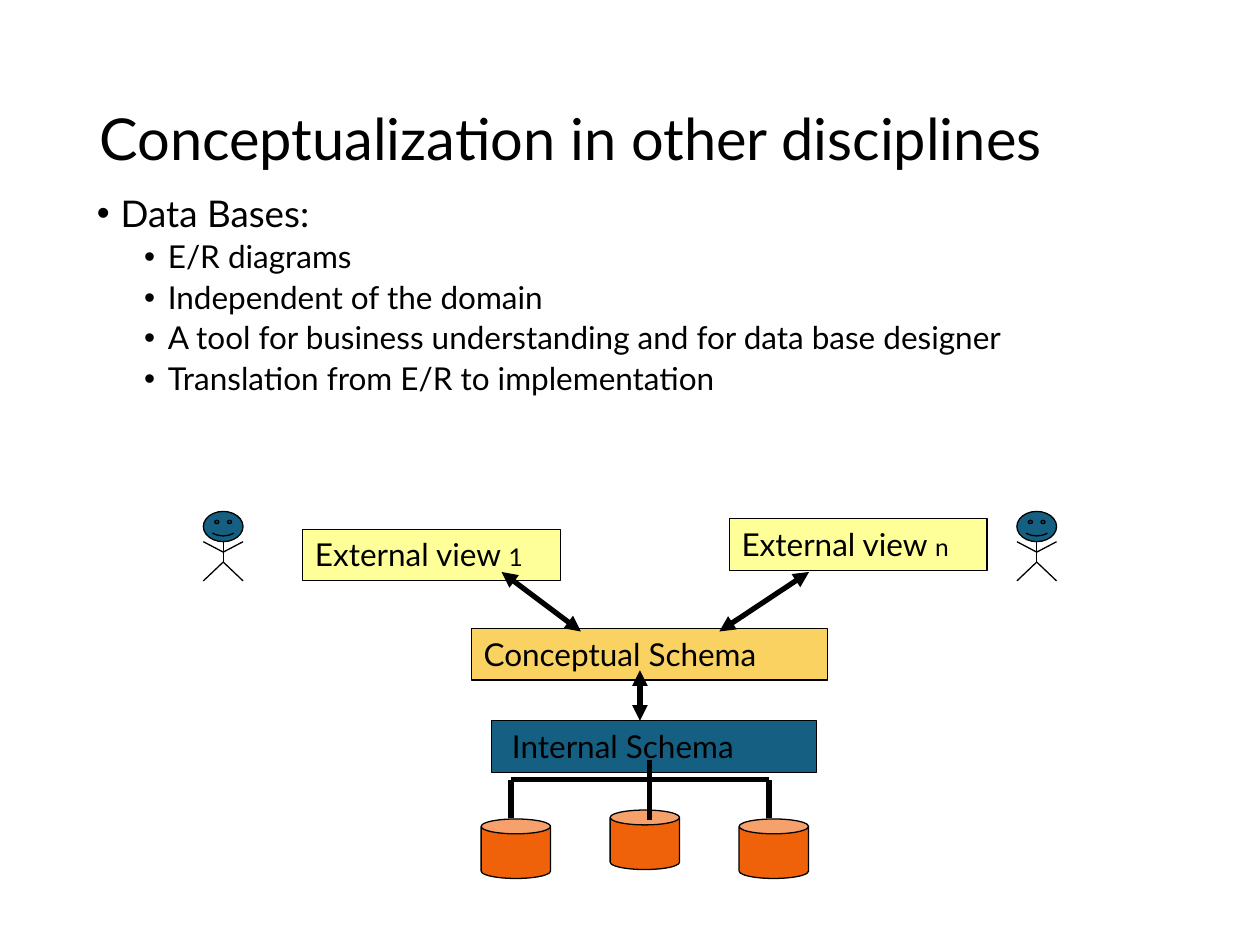
from lxml import etree
from pptx import Presentation
from pptx import util as u
from pptx.dml.color import RGBColor
from pptx.enum import shapes, text
from pptx.oxml import ns

FONT = "Lato"
BLACK, BLUE, GOLD, YELLOW, ORANGE = "000000", "156082", "FAD262", "FFFF99", "F0620A"
BULLETS = [
    (0, "Data Bases:"),
    (1, "E/R diagrams"),
    (1, "Independent of the domain"),
    (1, "A tool for business understanding and for data base designer"),
    (1, "Translation from E/R to implementation"),
]


def colour(hex_value):
    """Return the colour for a hex string."""
    return RGBColor.from_string(hex_value)


def add_text(paragraph, words, size=18, font=FONT, fill=BLACK):
    """Append one formatted run to a paragraph."""
    run = paragraph.add_run()
    run.text = words
    run.font.size = u.Pt(size)
    run.font.name = font
    run.font.color.rgb = colour(fill)


def place(shape, left, top, width, height):
    """Move and size a placeholder, in centimetres."""
    shape.left, shape.top = u.Cm(left), u.Cm(top)
    shape.width, shape.height = u.Cm(width), u.Cm(height)


def add_title(slide, words):
    """Fill the title placeholder."""
    title = slide.shapes.title
    place(title, 1.75, 1.02, 21.89, 3.68)
    title.text_frame.auto_size = text.MSO_AUTO_SIZE.NONE
    title.text_frame.vertical_anchor = text.MSO_ANCHOR.MIDDLE
    paragraph = title.text_frame.paragraphs[0]
    paragraph.alignment = text.PP_ALIGN.LEFT
    paragraph.line_spacing = 0.9
    add_text(paragraph, words, size=33)


def add_bullets(slide, items):
    """Fill the body placeholder with a two-level list."""
    body = slide.placeholders[1]
    place(body, 1.7, 3.81, 22.61, 6.12)
    frame = body.text_frame
    frame.auto_size = text.MSO_AUTO_SIZE.NONE
    for index, (level, words) in enumerate(items):
        paragraph = frame.add_paragraph() if index else frame.paragraphs[0]
        paragraph.level = level
        paragraph.line_spacing = 0.9
        paragraph.space_before = u.Pt((7.5, 3.75)[level])
        add_text(paragraph, words, size=(21, 18)[level])
        properties = paragraph._p.get_or_add_pPr()
        properties.set("marL", str(u.Cm((0.48, 1.43)[level])))
        properties.set("indent", str(-u.Cm(0.48)))
        font = etree.SubElement(properties, ns.qn("a:buFont"))
        font.set("typeface", "Arial")
        etree.SubElement(properties, ns.qn("a:buChar")).set("char", "•")


def add_filled(parent, kind, left, top, width, height, fill):
    """Add a preset shape with a thin black outline."""
    shape = parent.shapes.add_shape(kind, u.Cm(left), u.Cm(top), u.Cm(width), u.Cm(height))
    shape.shadow.inherit = False
    shape.fill.solid()
    shape.fill.fore_color.rgb = colour(fill)
    shape.line.color.rgb = colour(BLACK)
    shape.line.width = u.Pt(0.75)
    return shape


def add_schema_box(slide, left, top, width, fill, words, suffix=""):
    """Add a labelled box, with an optional smaller suffix."""
    box = add_filled(slide, shapes.MSO_SHAPE.RECTANGLE, left, top, width, 1.04, fill)
    frame = box.text_frame
    frame.word_wrap = True
    frame.auto_size = text.MSO_AUTO_SIZE.SHAPE_TO_FIT_TEXT
    frame.vertical_anchor = text.MSO_ANCHOR.TOP
    paragraph = frame.paragraphs[0]
    paragraph.alignment = text.PP_ALIGN.LEFT
    add_text(paragraph, words)
    if suffix:
        add_text(paragraph, suffix, size=14)


def add_line(parent, start, end, width=3, arrows=False):
    """Add a straight black line, with arrowheads at both ends if asked."""
    line = parent.shapes.add_connector(
        shapes.MSO_CONNECTOR.STRAIGHT, *(u.Cm(value) for value in (*start, *end)))
    line.line.color.rgb = colour(BLACK)
    line.line.width = u.Pt(width)
    if arrows:
        outline = line.line._get_or_add_ln()
        for name in ("a:headEnd", "a:tailEnd"):
            etree.SubElement(outline, ns.qn(name)).set("type", "triangle")
    etree.SubElement(line._element.spPr, ns.qn("a:effectLst"))


def add_user(slide, centre):
    """Add a grouped stick figure around a vertical axis."""
    group = slide.shapes.add_group_shape()
    left, right = centre - 0.4, centre + 0.4
    shoulder, neck, hip, foot = 11.13, 10.92, 11.33, 11.71
    add_filled(group, shapes.MSO_SHAPE.SMILEY_FACE, left, 10.31, 0.8, 0.61, BLUE)
    add_line(group, (centre, neck), (centre, hip), width=0.75)
    for side in (left, right):
        add_line(group, (centre, hip), (side, foot), width=0.75)
        add_line(group, (centre, shoulder), (side, neck), width=0.75)


def main():
    """Build and save the slide."""
    presentation = Presentation()
    presentation.slide_width, presentation.slide_height = u.Cm(25.4), u.Cm(19.05)
    slide = presentation.slides.add_slide(presentation.slide_layouts[1])
    add_title(slide, "Conceptualization in other disciplines")
    add_bullets(slide, BULLETS)

    for left, top in ((9.7, 16.51), (12.3, 16.33), (14.9, 16.51)):
        add_filled(slide, shapes.MSO_SHAPE.CAN, left, top, 1.4, 1.2, ORANGE)

    add_schema_box(slide, 9.91, 14.53, 6.55, BLUE, " Internal Schema")
    add_schema_box(slide, 9.5, 12.67, 7.19, GOLD, "Conceptual Schema")
    add_schema_box(slide, 6.1, 10.67, 5.2, YELLOW, "External view ", suffix="1")
    add_schema_box(slide, 14.7, 10.46, 5.2, YELLOW, "External view ", suffix="n")

    for start, end in (
        ((10.11, 11.53), (11.71, 12.73)),
        ((16.31, 11.53), (14.5, 12.73)),
        ((12.9, 13.51), (12.9, 14.53)),
    ):
        add_line(slide, start, end, arrows=True)

    bus_left, bus_right, bus_top, bus_foot = 10.3, 15.5, 15.72, 16.48
    add_line(slide, (bus_left, bus_top), (bus_right, bus_top))
    add_line(slide, (13.1, 15.32), (13.1, 16.53))
    for side in (bus_right, bus_left):
        add_line(slide, (side, bus_top), (side, bus_foot))

    for centre in (4.5, 20.9):
        add_user(slide, centre)
    presentation.save("out.pptx")


if __name__ == "__main__":
    main()
